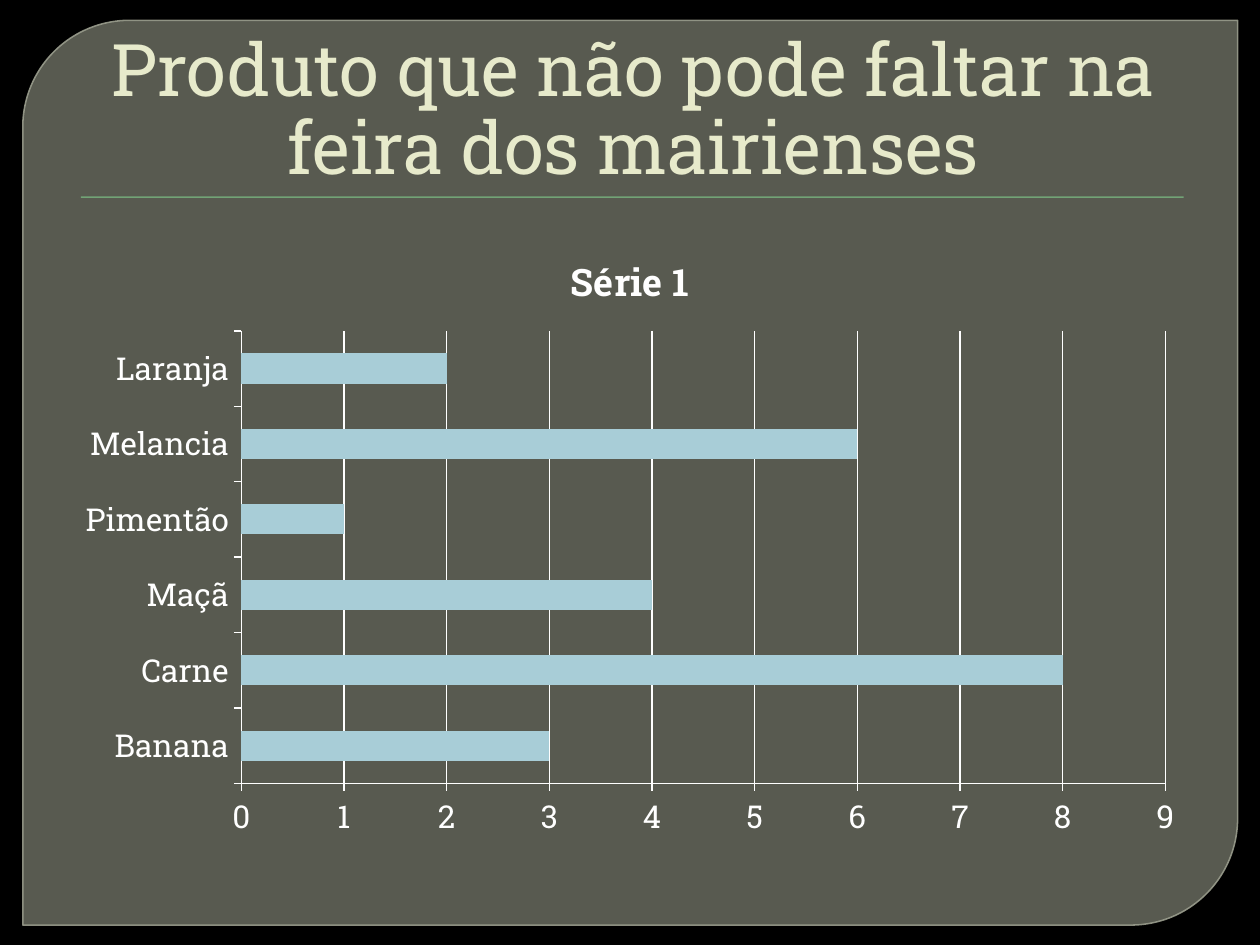
from dataclasses import dataclass

from lxml.etree import SubElement
from pptx import Presentation
from pptx.chart.data import CategoryChartData
from pptx.dml.color import RGBColor
from pptx.enum.chart import XL_CHART_TYPE, XL_TICK_MARK
from pptx.enum.shapes import MSO_SHAPE
from pptx.enum.text import MSO_ANCHOR, PP_ALIGN
from pptx.oxml.ns import qn
from pptx.util import Cm, Pt


@dataclass(frozen=True)
class Theme:
    font: str = "Roboto Slab"
    background: RGBColor = RGBColor(0x00, 0x00, 0x00)
    panel: RGBColor = RGBColor(0x88, 0x8B, 0x7B)
    panel_edge: RGBColor = RGBColor(0x9D, 0xA0, 0x90)
    rule: RGBColor = RGBColor(0x72, 0xA3, 0x76)
    heading: RGBColor = RGBColor(0xE7, 0xEA, 0xCB)
    chart_text: RGBColor = RGBColor(0xFF, 0xFF, 0xFF)
    bar: RGBColor = RGBColor(0xA8, 0xCD, 0xD7)
    heading_size: Pt = Pt(41.4)
    chart_size: Pt = Pt(18)
    chart_title_size: Pt = Pt(21.6)
    edge_width: Pt = Pt(0.87)
    grid_width: Pt = Pt(0.75)


@dataclass(frozen=True)
class Box:
    left: float
    top: float
    width: float
    height: float

    def lengths(self) -> tuple[Cm, Cm, Cm, Cm]:
        return Cm(self.left), Cm(self.top), Cm(self.width), Cm(self.height)


@dataclass(frozen=True)
class Product:
    name: str
    votes: int


THEME = Theme()
PANEL = Box(0.46, 0.41, 24.49, 18.24)
RULE = Box(1.63, 3.96, 22.23, 0.03)
HEADING = Box(1.27, 0.71, 22.86, 3.18)
CHART = Box(1.27, 4.57, 22.86, 12.57)
PRODUCTS = [
    Product("Banana", 3),
    Product("Carne", 8),
    Product("Maçã", 4),
    Product("Pimentão", 1),
    Product("Melancia", 6),
    Product("Laranja", 2),
]


def set_opacity(fill, percent: int) -> None:
    color = fill._xPr.find(qn("a:solidFill"))[0]
    SubElement(color, qn("a:alpha")).set("val", str(percent * 1000))


def add_filled(slide, kind: MSO_SHAPE, box: Box, color: RGBColor):
    shape = slide.shapes.add_shape(kind, *box.lengths())
    shape.shadow.inherit = False
    shape.fill.solid()
    shape.fill.fore_color.rgb = color
    shape.line.fill.background()
    return shape


def add_panel(slide) -> None:
    panel = add_filled(slide, MSO_SHAPE.ROUND_2_DIAG_RECTANGLE, PANEL, THEME.panel)
    panel.adjustments[0] = 0.118
    panel.adjustments[1] = 0
    set_opacity(panel.fill, 65)
    panel.line.color.rgb = THEME.panel_edge
    panel.line.width = THEME.edge_width
    set_opacity(panel.line.fill, 88)


def set_font(font, size: Pt, color: RGBColor, bold: bool = False) -> None:
    font.name = THEME.font
    font.size = size
    font.bold = bold
    font.color.rgb = color


def add_heading(slide, text: str) -> None:
    frame = slide.shapes.add_textbox(*HEADING.lengths()).text_frame
    frame.word_wrap = True
    frame.vertical_anchor = MSO_ANCHOR.BOTTOM
    frame.margin_left = Cm(0.4)
    frame.margin_bottom = Cm(0.05)
    paragraph = frame.paragraphs[0]
    paragraph.text = text
    paragraph.alignment = PP_ALIGN.CENTER
    paragraph.line_spacing = 0.9
    set_font(paragraph.font, THEME.heading_size, THEME.heading)


def style_line(line) -> None:
    line.color.rgb = THEME.chart_text
    line.width = THEME.grid_width


def add_votes_chart(slide, title: str, products: list[Product]) -> None:
    votes = CategoryChartData()
    votes.categories = [product.name for product in products]
    votes.add_series(title, [product.votes for product in products])
    chart = slide.shapes.add_chart(
        XL_CHART_TYPE.BAR_CLUSTERED, *CHART.lengths(), votes
    ).chart
    set_font(chart.font, THEME.chart_size, THEME.chart_text)
    chart.has_legend = False
    chart.has_title = True
    heading = chart.chart_title.text_frame.paragraphs[0]
    heading.text = title
    set_font(heading.font, THEME.chart_title_size, THEME.chart_text, bold=True)

    plot = chart.plots[0]
    plot.vary_by_categories = False
    plot.gap_width = 150
    bars = plot.series[0].format.fill
    bars.solid()
    bars.fore_color.rgb = THEME.bar

    for axis in (chart.category_axis, chart.value_axis):
        axis.major_tick_mark = XL_TICK_MARK.OUTSIDE
        style_line(axis.format.line)
    chart.category_axis.has_major_gridlines = False
    scale = chart.value_axis
    scale.minimum_scale, scale.maximum_scale, scale.major_unit = 0, 9, 1
    scale.has_major_gridlines = True
    style_line(scale.major_gridlines.format.line)


def main() -> None:
    deck = Presentation()
    deck.slide_width, deck.slide_height = Cm(25.4), Cm(19.05)
    slide = deck.slides.add_slide(deck.slide_layouts[6])
    slide.background.fill.solid()
    slide.background.fill.fore_color.rgb = THEME.background
    add_panel(slide)
    add_filled(slide, MSO_SHAPE.RECTANGLE, RULE, THEME.rule)
    add_heading(slide, "Produto que não pode faltar na feira dos mairienses")
    add_votes_chart(slide, "Série 1", PRODUCTS)
    deck.save("out.pptx")


main()
